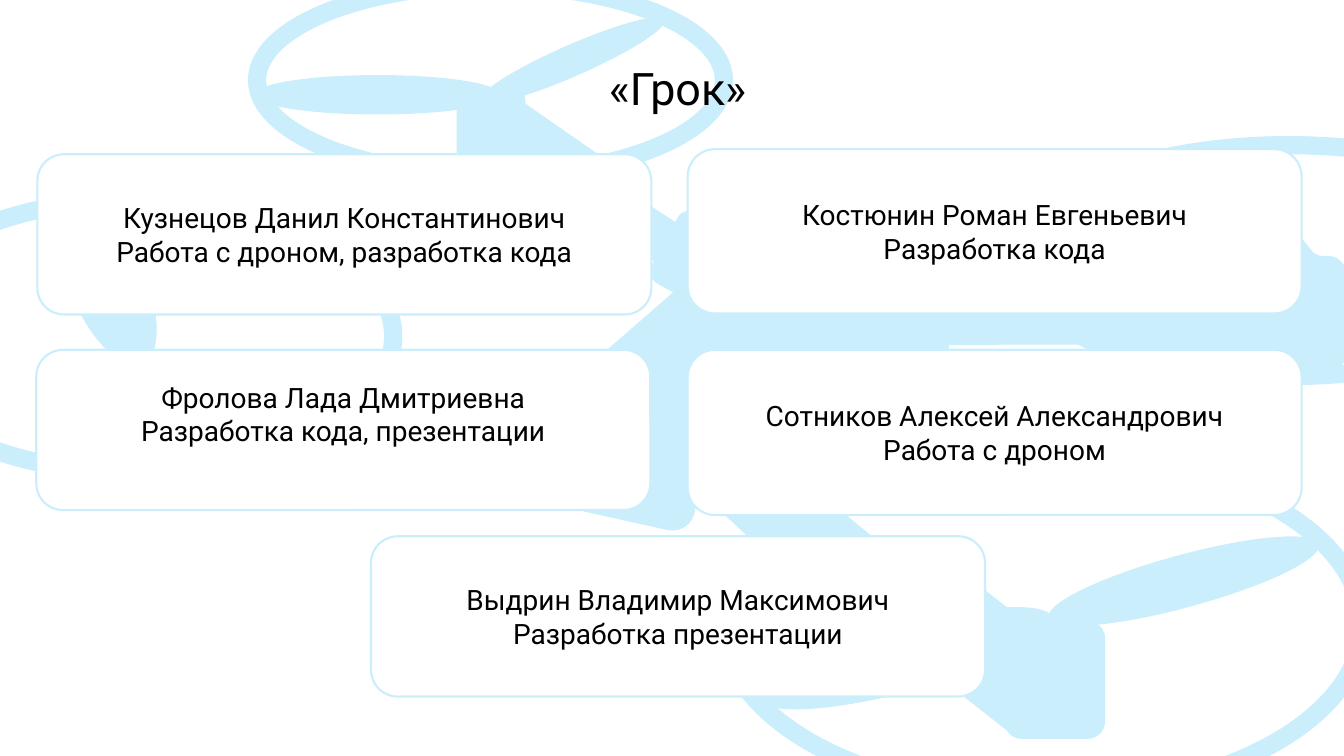
from pptx import Presentation
from pptx.dml.color import RGBColor
from pptx.enum.shapes import MSO_SHAPE as Shape
from pptx.enum.text import MSO_ANCHOR as Anchor, PP_ALIGN as Align
from pptx.util import Pt

PX = 9144
SLIDE_SIZE = (1333, 750)
FONT = "Roboto"
COLORS = {"sky": "CAEEFB", "white": "FFFFFF", "text": "000000"}
THIN, RING = 1.5, 13

TITLE = ("«Грок»", (594, 55, 739, 64))

ROUND, OVAL = Shape.ROUNDED_RECTANGLE, Shape.OVAL
MOTORS = [
    (862, 587, 198, 94, 38.2),
    (997, 617, 98, 115, 0),
]
ROTOR_RINGS = [
    (255, -15, 463, 189, 0),
    (-120, 198, 510, 271, 0),
    (718, 450, 633, 340, 0),
    (1006, 144, 544, 229, 0),
]
BLADES = [
    (70, 194, 73, 173, 336.7),
    (151, 334, 51, 153, 322.1),
    (1149, 439, 50, 275, 254.8),
    (867, 503, 63, 300, 254.8),
    (1328, 228, 33, 155, 315.2),
    (1239, 126, 27, 180, 315.2),
    (553, -38, 29, 196, 246.3),
    (356, -26, 37, 240, 270),
]
BODY = [
    (471, 126, 141, 70, 34.8),
    (1087, 276, 156, 80, 0),
    (742, 509, 169, 48, 39.3),
    (928, 293, 169, 48, 0),
    (542, 188, 140, 42, 33),
    (703, 436, 105, 91, 43.1),
    (838, 274, 103, 79, 0),
    (654, 225, 103, 79, 28.6),
    (524, 385, 175, 127, 12.5),
    (629, 237, 169, 253, 48.9),
    (1236, 255, 98, 112, 0),
    (454, 88, 66, 74, 0),
    (715, 227, 167, 106, 5.3),
]
DRONE = [
    (ROUND, MOTORS, "sky", THIN),
    (OVAL, ROTOR_RINGS, None, RING),
    (OVAL, BLADES, "sky", THIN),
    (ROUND, BODY, "sky", THIN),
]

CARD_WIDTH = 609
INSET = 5
LIFT = 32
MEMBERS = [
    ("Кузнецов Данил Константинович", "Работа с дроном, разработка кода", 37, 153, 159, 0),
    ("Фролова Лада Дмитриевна", "Разработка кода, презентации", 36, 347, 159, LIFT),
    ("Костюнин Роман Евгеньевич", "Разработка кода", 682, 148, 163, 0),
    ("Сотников Алексей Александрович", "Работа с дроном", 682, 347, 164, 0),
    ("Выдрин Владимир Максимович", "Разработка презентации", 368, 532, 159, 0),
]


def color(name):
    return RGBColor.from_string(COLORS[name])


def emu(lengths):
    return [length * PX for length in lengths]


def add_figure(shapes, kind, box, fill, line_width):
    shape = shapes.add_shape(kind, *emu(box))
    shape.shadow.inherit = False
    if fill:
        shape.fill.solid()
        shape.fill.fore_color.rgb = color(fill)
    else:
        shape.fill.background()
    shape.line.color.rgb = color("sky")
    shape.line.width = Pt(line_width)
    return shape


def write_lines(frame, lines, size, alignment):
    for index, line in enumerate(lines):
        paragraph = frame.paragraphs[0] if index == 0 else frame.add_paragraph()
        paragraph.alignment = alignment
        run = paragraph.add_run()
        run.text = line
        run.font.name = FONT
        run.font.size = Pt(size)
        run.font.color.rgb = color("text")


def main():
    presentation = Presentation()
    presentation.slide_width, presentation.slide_height = emu(SLIDE_SIZE)
    slide = presentation.slides.add_slide(presentation.slide_layouts[6])

    drone = slide.shapes.add_group_shape()
    for kind, parts, fill, line_width in DRONE:
        for *box, rotation in parts:
            add_figure(drone.shapes, kind, box, fill, line_width).rotation = rotation

    title, title_box = TITLE
    text_box = slide.shapes.add_textbox(*emu(title_box))
    text_box.text_frame.word_wrap = True
    write_lines(text_box.text_frame, [title], 32, Align.LEFT)

    for name, role, left, top, height, lift in MEMBERS:
        card = add_figure(slide.shapes, ROUND, (left, top, CARD_WIDTH, height), "white", THIN)
        frame = card.text_frame
        frame.word_wrap = True
        frame.vertical_anchor = Anchor.MIDDLE
        frame.margin_bottom = (INSET + lift) * PX
        write_lines(frame, [name, role], 20, Align.CENTER)

    presentation.save("out.pptx")


if __name__ == "__main__":
    main()
